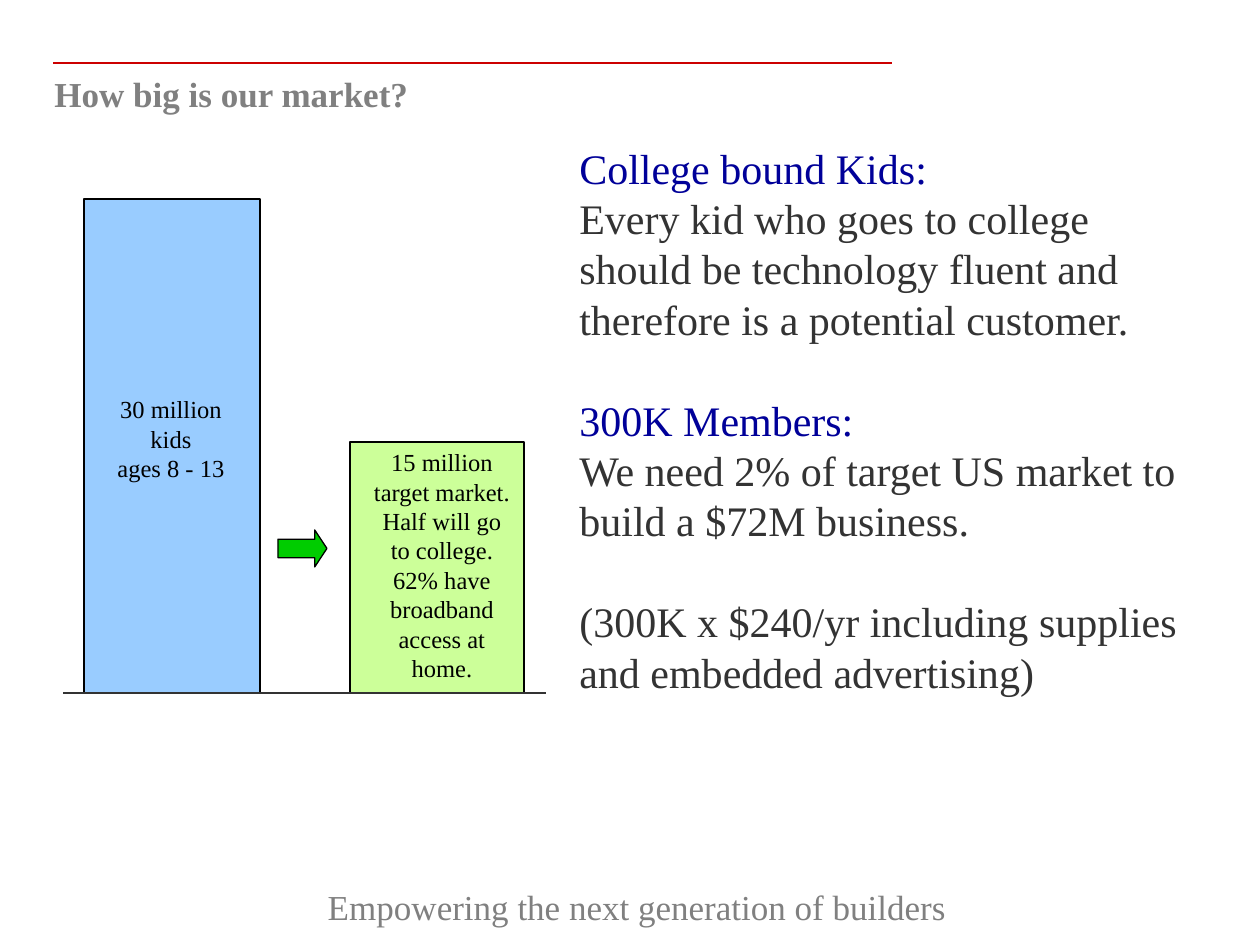
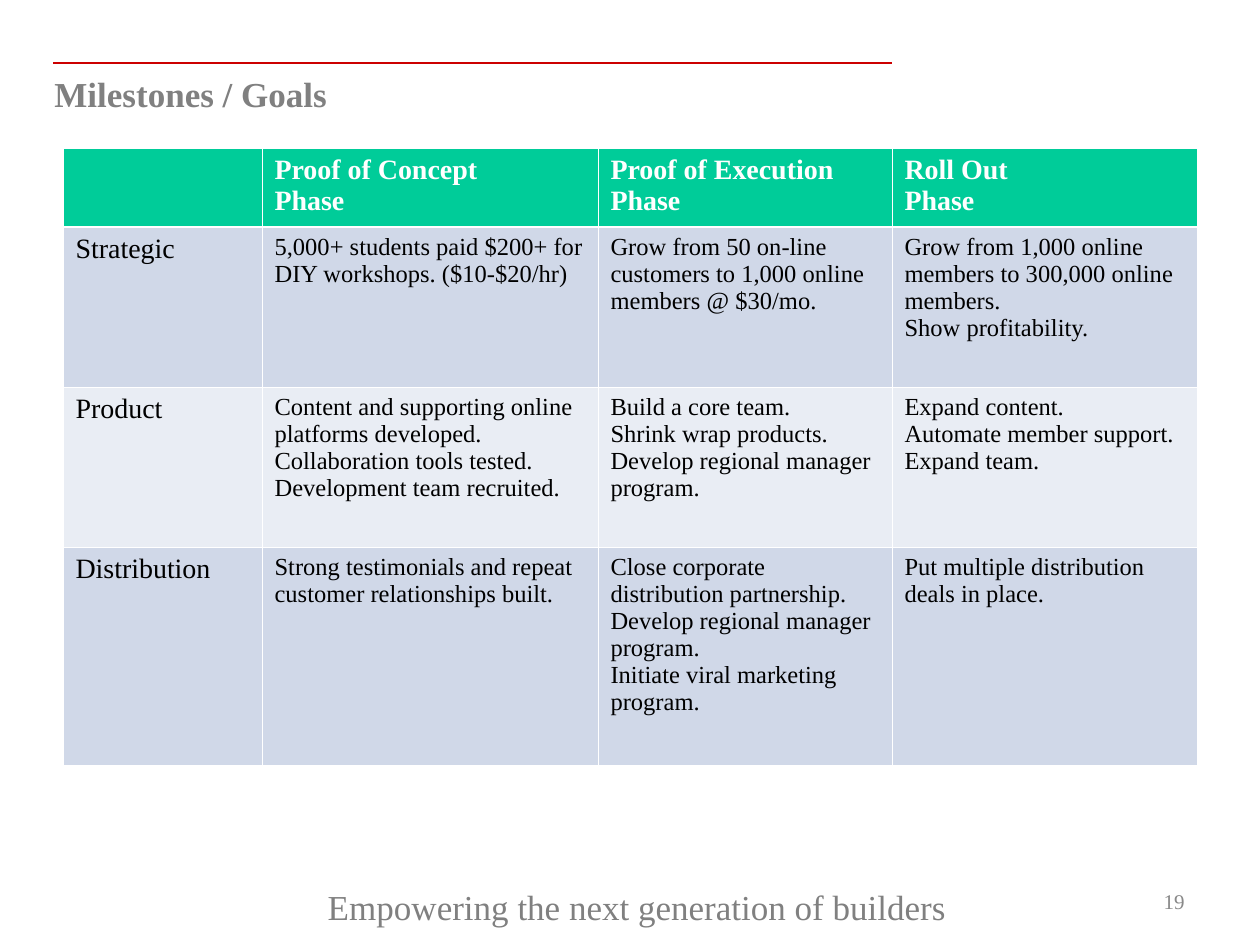
import pptx
import pptx.util
import pptx.dml.color
import pptx.enum.shapes
import pptx.enum.text
import lxml.etree

HUES = {
    "red": "CC0000", "gray": "808080", "pale": "898989", "navy": "000099",
    "dark": "333333", "black": "000000", "white": "FFFFFF", "sky": "99CCFF",
    "lime": "CCFF99", "green": "00CC00", "teal": "00CC99",
    "blue": "D0D8E8", "mist": "E9EDF4",
}
FACE = "Times New Roman"
SCALE = 914400 / 126
LOOSE, TIGHT = 1.2, 1.107
ALIGN = pptx.enum.text.PP_ALIGN
SHAPE = pptx.enum.shapes.MSO_SHAPE
NS = "http://schemas.openxmlformats.org/drawingml/2006/main"


def px(num):
    """Turn pixels into EMU."""
    return pptx.util.Emu(round(num * SCALE))


def hue(name):
    """Look up a colour."""
    return pptx.dml.color.RGBColor.from_string(HUES[name])


def put(item, vals):
    """Set each named value on an item."""
    for key, val in vals.items():
        setattr(item, key, val)


def paint(item, name):
    """Give a shape or cell a solid fill."""
    item.fill.solid()
    item.fill.fore_color.rgb = hue(name)


def write(frame, lines, size, color="black", bold=False, align=ALIGN.LEFT, pitch=LOOSE):
    """Fill a frame with lines, each a text or a (text, colour, gap) tuple."""
    for num, line in enumerate(lines):
        text, tint, gap = line if isinstance(line, tuple) else (line, color, 0)
        para = frame.paragraphs[0] if num == 0 else frame.add_paragraph()
        para.text = text
        put(para, {
            "alignment": align,
            "line_spacing": pptx.util.Pt(round(size * pitch, 1)),
            "space_before": pptx.util.Pt(gap),
        })
        for run in para.runs:
            put(run.font, {"name": FACE, "size": pptx.util.Pt(size), "bold": bold})
            run.font.color.rgb = hue(tint)


def label(slide, box, lines, size, wrap=True, anchor="TOP", **style):
    """Add a text box."""
    frame = slide.shapes.add_textbox(*map(px, box)).text_frame
    put(frame, {
        "word_wrap": wrap,
        "vertical_anchor": getattr(pptx.enum.text.MSO_ANCHOR, anchor),
    })
    write(frame, lines, size, **style)


def block(slide, kind, box, color):
    """Add a filled shape with a thin black edge."""
    shape = slide.shapes.add_shape(kind, *map(px, box))
    shape.shadow.inherit = False
    paint(shape, color)
    shape.line.color.rgb = hue("black")
    shape.line.width = pptx.util.Pt(0.75)
    return shape


def rule(slide, left, right, top, color, width):
    """Add a level line."""
    line = slide.shapes.add_connector(
        pptx.enum.shapes.MSO_CONNECTOR.STRAIGHT, px(left), px(top), px(right), px(top))
    line.line.color.rgb = hue(color)
    line.line.width = pptx.util.Pt(width)
    lxml.etree.SubElement(line._element.spPr, f"{{{NS}}}effectLst")


def edge(cell, side, width):
    """Draw one white cell border."""
    attrs = {"w": str(pptx.util.Pt(width))}
    line = lxml.etree.SubElement(cell._tc.get_or_add_tcPr(), f"{{{NS}}}ln{side}", attrs)
    fill = lxml.etree.SubElement(line, f"{{{NS}}}solidFill")
    lxml.etree.SubElement(fill, f"{{{NS}}}srgbClr", val=HUES["white"])


def grid(slide, left, top, cols, rows, cells):
    """Add a table with a head row and striped body rows."""
    box = map(px, (left, top, sum(cols), sum(rows)))
    table = slide.shapes.add_table(len(rows), len(cols), *box).table
    for col, width in zip(table.columns, cols):
        col.width = px(width)
    for num, (row, high) in enumerate(zip(table.rows, rows)):
        row.height = px(high)
        fill = "teal" if num == 0 else "blue" if num % 2 else "mist"
        for pos, cell in enumerate(row.cells):
            for side in "LRTB":
                thick = (num, side) in ((0, "B"), (1, "T"))
                edge(cell, side, 1.47 if thick else 0.45)
            paint(cell, fill)
            write(cell.text_frame, cells[num][pos],
                  16 if num == 0 or pos == 0 else 14,
                  color="black" if num else "white", bold=num == 0, pitch=TIGHT)


def page(deck, title):
    """Add a slide with the shared rule, title and footer."""
    slide = deck.slides.add_slide(deck.slide_layouts[6])
    rule(slide, 892, 53, 63, "red", 1.5)
    label(slide, (42, 66, 850, 55), [title], 20, color="gray", bold=True)
    label(slide, (315, 879, 644, 55), ["Empowering the next generation of builders"],
          20, wrap=False, color="gray", align=ALIGN.CENTER)
    return slide


def market(deck):
    """Build the market size slide."""
    slide = page(deck, "How big is our market?")
    label(slide, (567, 136, 640, 567), [
        ("College bound Kids:", "navy", 0),
        "Every kid who goes to college should be technology fluent "
        "and therefore is a potential customer.",
        ("300K Members:", "navy", 28.8),
        "We need 2% of target US market to build a $72M business.",
        ("(300K x $240/yr including supplies and embedded advertising)", "dark", 28.8),
    ], 24, color="dark")
    base = 693
    for left, top, width, color in ((84, 199, 176, "sky"), (350, 442, 174, "lime")):
        block(slide, SHAPE.RECTANGLE, (left, top, width, base - top), color)
    label(slide, (94, 388, 154, 101), ["30 million kids\vages 8 - 13"],
          14, align=ALIGN.CENTER)
    label(slide, (360, 441, 164, 248), [
        "15 million target market.",
        "Half will go to college. 62% have broadband access at home.",
    ], 14, align=ALIGN.CENTER)
    arrow = block(slide, SHAPE.RIGHT_ARROW, (278, 530, 49, 37), "green")
    arrow.adjustments[1] = 0.33
    rule(slide, 63, 546, base, "dark", 1)


def goals(deck):
    """Build the milestones slide."""
    slide = page(deck, "Milestones / Goals")
    grid(slide, 63, 148, (199, 336, 294, 305), (79, 160, 160, 218), [
        [[], ["Proof of Concept", "Phase"], ["Proof of Execution Phase"],
         ["Roll Out", "Phase"]],
        [["Strategic"],
         ["5,000+ students paid $200+ for DIY workshops. ($10-$20/hr)"],
         ["Grow from 50 on-line customers to 1,000 online members @ $30/mo."],
         ["Grow from 1,000 online members to 300,000 online members.",
          "Show profitability."]],
        [["Product"],
         ["Content and supporting online platforms developed.",
          "Collaboration tools tested.", "Development team recruited."],
         ["Build a core team.", "Shrink wrap products.",
          "Develop regional manager program."],
         ["Expand content.", "Automate member support.", "Expand team."]],
        [["Distribution"],
         ["Strong testimonials and repeat customer relationships built."],
         ["Close corporate distribution partnership.",
          "Develop regional manager program.", "Initiate viral marketing program."],
         ["Put multiple distribution deals in place."]],
    ])
    label(slide, (903, 876, 294, 50), ["19"], 12, anchor="MIDDLE",
          color="pale", align=ALIGN.RIGHT)


def main():
    """Build and save the deck."""
    deck = pptx.Presentation()
    put(deck, {"slide_width": px(1260), "slide_height": px(945)})
    market(deck)
    goals(deck)
    deck.save("out.pptx")


if __name__ == "__main__":
    main()
